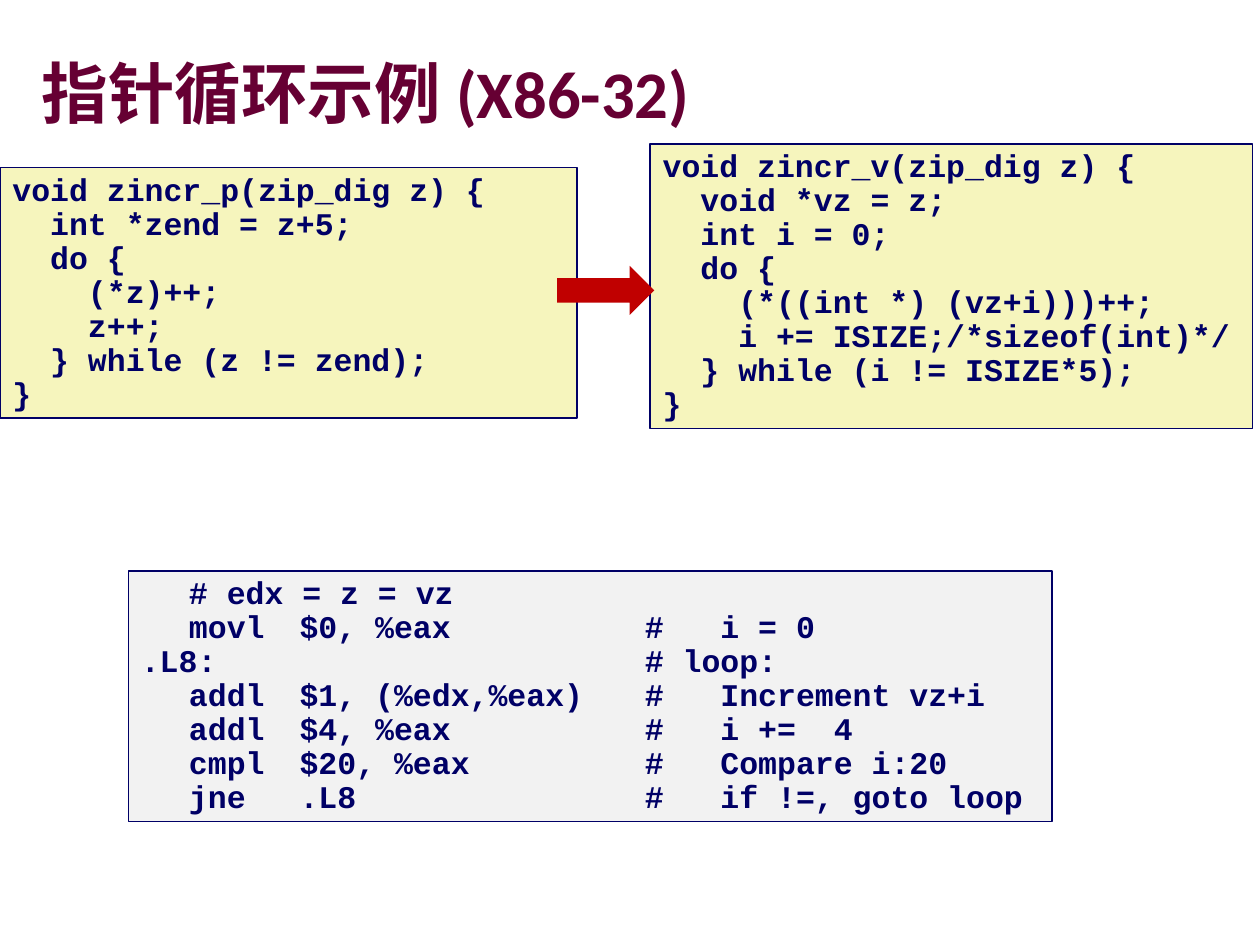
from lxml import etree
from pptx import Presentation
from pptx.dml.color import RGBColor
from pptx.enum.shapes import MSO_SHAPE
from pptx.enum.text import MSO_ANCHOR, PP_ALIGN
from pptx.oxml.ns import qn
from pptx.util import Cm, Pt

RECTANGLE, RIGHT_ARROW = MSO_SHAPE.RECTANGLE, MSO_SHAPE.RIGHT_ARROW
LEFT, TOP, MIDDLE = PP_ALIGN.LEFT, MSO_ANCHOR.TOP, MSO_ANCHOR.MIDDLE

MAROON = RGBColor(0x66, 0x00, 0x33)
NAVY = RGBColor(0x00, 0x00, 0x66)
CREAM = RGBColor(0xF6, 0xF5, 0xBD)
PALE_GREY = RGBColor(0xF2, 0xF2, 0xF2)
RED = RGBColor(0xC0, 0x00, 0x00)

POINTER_CODE = """void zincr_p(zip_dig z) {
  int *zend = z+5;
  do {
    (*z)++;
    z++;
  } while (z != zend);
}"""

OFFSET_CODE = """void zincr_v(zip_dig z) {
  void *vz = z;
  int i = 0;
  do {
    (*((int *) (vz+i)))++;
    i += ISIZE;/*sizeof(int)*/
  } while (i != ISIZE*5);
}"""

ASSEMBLY_CODE = """\t# edx = z = vz
\tmovl\t$0, %eax\t#   i = 0
.L8:\t\t# loop:
\taddl\t$1, (%edx,%eax)\t#   Increment vz+i
\taddl\t$4, %eax\t#   i +=  4
\tcmpl\t$20, %eax\t#   Compare i:20
\tjne\t.L8\t#   if !=, goto loop"""
ASSEMBLY_TABS = [Cm(0.97), Cm(3.2), Cm(10.16)]

deck = Presentation()
deck.slide_width, deck.slide_height = Cm(25.4), Cm(19.05)
slide = deck.slides.add_slide(deck.slide_layouts[5])

# Title with a grey text shadow
title = slide.shapes.title
title.left, title.top, title.width, title.height = Cm(0.84), Cm(1.17), Cm(23.29), Cm(1.6)
frame = title.text_frame
frame.margin_left = frame.margin_top = frame.margin_right = frame.margin_bottom = 0
frame.vertical_anchor = MIDDLE
frame.word_wrap = True
para = frame.paragraphs[0]
para.alignment = LEFT
para.line_spacing = 0.87
span = para.add_run()
span.text = "指针循环示例 (X86-32)"
span.font.size, span.font.bold = Pt(38), True
span.font.color.rgb = MAROON
span.font.name = "Calibri"
effects = etree.Element(qn("a:effectLst"))
shadow = etree.SubElement(effects, qn("a:outerShdw"), dist="38100", dir="2700000", algn="tl")
etree.SubElement(shadow, qn("a:srgbClr"), val="969696")
span.font.fill  # the fill element precedes the effects
span._r.rPr.find(qn("a:solidFill")).addnext(effects)

# Code boxes: left, top, width, height, fill, code, tab stops
code_boxes = [
    (Cm(0), Cm(3.38), Cm(11.63), Cm(5.05), CREAM, POINTER_CODE, []),
    (Cm(13.11), Cm(2.9), Cm(12.14), Cm(5.74), CREAM, OFFSET_CODE, []),
    (Cm(2.59), Cm(11.51), Cm(18.62), Cm(5.05), PALE_GREY, ASSEMBLY_CODE, ASSEMBLY_TABS),
]
for left, top, width, height, fill, code, tabs in code_boxes:
    box = slide.shapes.add_shape(RECTANGLE, left, top, width, height)
    box.shadow.inherit = False
    box.fill.solid()
    box.fill.fore_color.rgb = fill
    box.line.color.rgb = NAVY
    box.line.width = Pt(1)
    frame = box.text_frame
    frame.word_wrap = True
    frame.vertical_anchor = TOP
    frame.text = code
    for para in frame.paragraphs:
        if tabs:
            tab_list = etree.SubElement(para._p.get_or_add_pPr(), qn("a:tabLst"))
            for position in tabs:
                etree.SubElement(tab_list, qn("a:tab"), pos=str(position), algn="l")
        para.alignment = LEFT
        para.line_spacing = 0.9
        para.font.size, para.font.bold = Pt(18), True
        para.font.name = "Courier New"
        para.font.color.rgb = NAVY

# Arrow from the pointer loop to the offset loop
arrow = slide.shapes.add_shape(RIGHT_ARROW, Cm(11.23), Cm(5.36), Cm(1.96), Cm(0.99))
arrow.shadow.inherit = False
arrow.fill.solid()
arrow.fill.fore_color.rgb = RED
arrow.line.fill.background()

deck.save("out.pptx")
